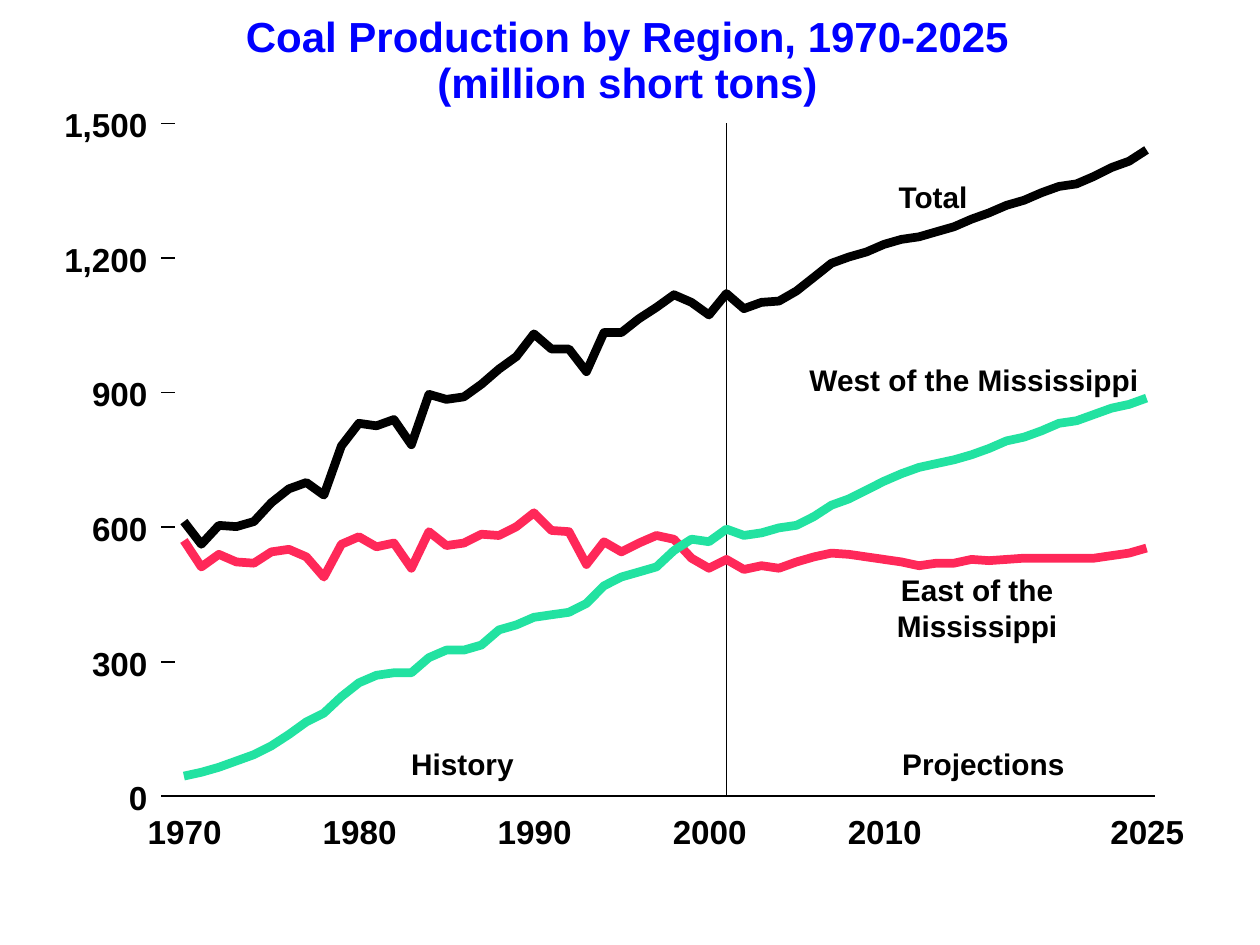
from lxml import etree
from pptx import Presentation
from pptx.dml.color import RGBColor
from pptx.enum.shapes import MSO_CONNECTOR
from pptx.enum.text import MSO_ANCHOR, PP_ALIGN
from pptx.oxml.ns import qn
from pptx.util import Inches, Pt

STRAIGHT = MSO_CONNECTOR.STRAIGHT
TOP = MSO_ANCHOR.TOP
CENTER, RIGHT = PP_ALIGN.CENTER, PP_ALIGN.RIGHT

COLORS = {"title": "0000FF", "ink": "000000", "east": "FF2859", "west": "22E2A1"}
FRAME_FORMAT = {"margin_left": 0, "margin_right": 0, "margin_top": 0,
                "margin_bottom": 0, "vertical_anchor": TOP}

FIRST_YEAR, LAST_YEAR = 1970, 2025
PLOT_LEFT, PLOT_WIDTH = 1.46, 7.64
AXIS_TOP, AXIS_BOTTOM, MAX_TONS = 0.98, 6.32, 1500
TICK_LEFT, TICK_RIGHT, AXIS_RIGHT = 1.28, 1.39, 9.17
LABEL_RIGHT = 1.17

# Height of each region's line on the slide, in inches, one per year from 1970
REGION_LINES = {
    "ink": [4.14, 4.32, 4.17, 4.18, 4.14, 3.99, 3.88, 3.83, 3.93, 3.54,
            3.36, 3.38, 3.33, 3.53, 3.13, 3.17, 3.15, 3.05, 2.93, 2.83,
            2.65, 2.77, 2.77, 2.95, 2.64, 2.64, 2.53, 2.44, 2.34, 2.4,
            2.5, 2.33, 2.45, 2.4, 2.39, 2.31, 2.2, 2.09, 2.04, 2,
            1.94, 1.9, 1.88, 1.84, 1.8, 1.74, 1.69, 1.63, 1.59, 1.53,
            1.48, 1.46, 1.4, 1.33, 1.28, 1.19],
    "east": [4.29, 4.5, 4.4, 4.46, 4.47, 4.38, 4.36, 4.42, 4.58, 4.32,
             4.26, 4.34, 4.31, 4.51, 4.22, 4.33, 4.31, 4.24, 4.25, 4.18,
             4.07, 4.21, 4.22, 4.48, 4.3, 4.38, 4.31, 4.25, 4.28, 4.43,
             4.51, 4.44, 4.52, 4.49, 4.51, 4.46, 4.42, 4.39, 4.4, 4.42,
             4.44, 4.46, 4.49, 4.47, 4.47, 4.44, 4.45, 4.44, 4.43, 4.43,
             4.43, 4.43, 4.43, 4.41, 4.39, 4.35],
    "west": [6.16, 6.13, 6.09, 6.04, 5.99, 5.92, 5.83, 5.73, 5.66, 5.53,
             5.42, 5.36, 5.34, 5.34, 5.22, 5.16, 5.16, 5.12, 5, 4.96,
             4.9, 4.88, 4.86, 4.79, 4.65, 4.58, 4.54, 4.5, 4.37, 4.28,
             4.3, 4.2, 4.25, 4.23, 4.19, 4.17, 4.1, 4.01, 3.96, 3.89,
             3.82, 3.76, 3.71, 3.68, 3.65, 3.61, 3.56, 3.5, 3.47, 3.42,
             3.36, 3.34, 3.29, 3.24, 3.21, 3.16],
}
# Text, left, top, width
CHART_LABELS = [
    ("History", 3.26, 5.92, 0.82),
    ("Projections", 7.16, 5.92, 1.29),
    ("Total", 7.12, 1.42, 0.57),
    ("East of the Mississippi", 6.48, 4.54, 2.55),
    ("West of the Mississippi", 6.42, 2.87, 2.62),
]


def year_x(year):
    return PLOT_LEFT + PLOT_WIDTH * (year - FIRST_YEAR) / (LAST_YEAR - FIRST_YEAR)


def tons_y(tons):
    return AXIS_BOTTOM - (AXIS_BOTTOM - AXIS_TOP) * tons / MAX_TONS


def format_frame(frame, size, color, align):
    frame.word_wrap = False
    for name, value in FRAME_FORMAT.items():
        setattr(frame, name, value)
    font_format = {"name": "Arial", "size": Pt(size), "bold": True}
    for paragraph in frame.paragraphs:
        paragraph.alignment = align
        for name, value in font_format.items():
            setattr(paragraph.font, name, value)
        paragraph.font.color.rgb = RGBColor.from_string(COLORS[color])


def add_title(slide, text):
    title = slide.shapes.title
    place = {"left": 1.95, "top": 0.13, "width": 6.06, "height": 0.72}
    for name, value in place.items():
        setattr(title, name, Inches(value))
    title.text_frame.text = text
    format_frame(title.text_frame, 24, "title", CENTER)
    for paragraph in title.text_frame.paragraphs:
        paragraph.line_spacing = 0.9
        paragraph.space_before = Pt(0)


def add_label(slide, text, left, top, width, height, size, align=CENTER):
    label = slide.shapes.add_textbox(
        Inches(left), Inches(top), Inches(width), Inches(height))
    label.text_frame.text = text
    format_frame(label.text_frame, size, "ink", align)


def add_rule(slide, x1, y1, x2, y2):
    rule = slide.shapes.add_connector(
        STRAIGHT, Inches(x1), Inches(y1), Inches(x2), Inches(y2))
    rule.line.width = Pt(1)
    rule.line.color.rgb = RGBColor.from_string(COLORS["ink"])
    etree.SubElement(rule._element.spPr, qn("a:effectLst"))


def add_region_line(slide, color, heights):
    points = [(Inches(year_x(FIRST_YEAR + index)), Inches(height))
              for index, height in enumerate(heights)]
    builder = slide.shapes.build_freeform(*points[0])
    builder.add_line_segments(points[1:], close=False)
    region = builder.convert_to_shape()
    region.shadow.inherit = False
    region.fill.background()
    region.line.width = Pt(5)
    region.line.color.rgb = RGBColor.from_string(COLORS[color])


def add_axes(slide):
    add_rule(slide, TICK_RIGHT, AXIS_BOTTOM, AXIS_RIGHT, AXIS_BOTTOM)
    for tons in range(0, MAX_TONS + 1, 300):
        y = tons_y(tons)
        text = f"{tons:,}"
        width = 0.15 * len(str(tons)) + 0.06 * text.count(",")
        add_rule(slide, TICK_LEFT, y, TICK_RIGHT, y)
        add_label(slide, text, LABEL_RIGHT - width, y - 0.15, width, 0.32, 19, RIGHT)
    for year in (1970, 1980, 1990, 2000, 2010, 2025):
        add_label(slide, str(year), year_x(year) - 0.29, 6.44, 0.59, 0.32, 19)


def main():
    deck = Presentation()
    deck.slide_width, deck.slide_height = Inches(10), Inches(7.5)
    slide = deck.slides.add_slide(deck.slide_layouts[5])
    add_title(slide, "Coal Production by Region, 1970-2025\n(million short tons)")
    history_end = year_x(2001)
    add_rule(slide, history_end, AXIS_TOP, history_end, AXIS_BOTTOM)
    for color, heights in REGION_LINES.items():
        add_region_line(slide, color, heights)
    add_axes(slide)
    for text, left, top, width in CHART_LABELS:
        add_label(slide, text, left, top, width, 0.28, 17)
    deck.save("out.pptx")


if __name__ == "__main__":
    main()
